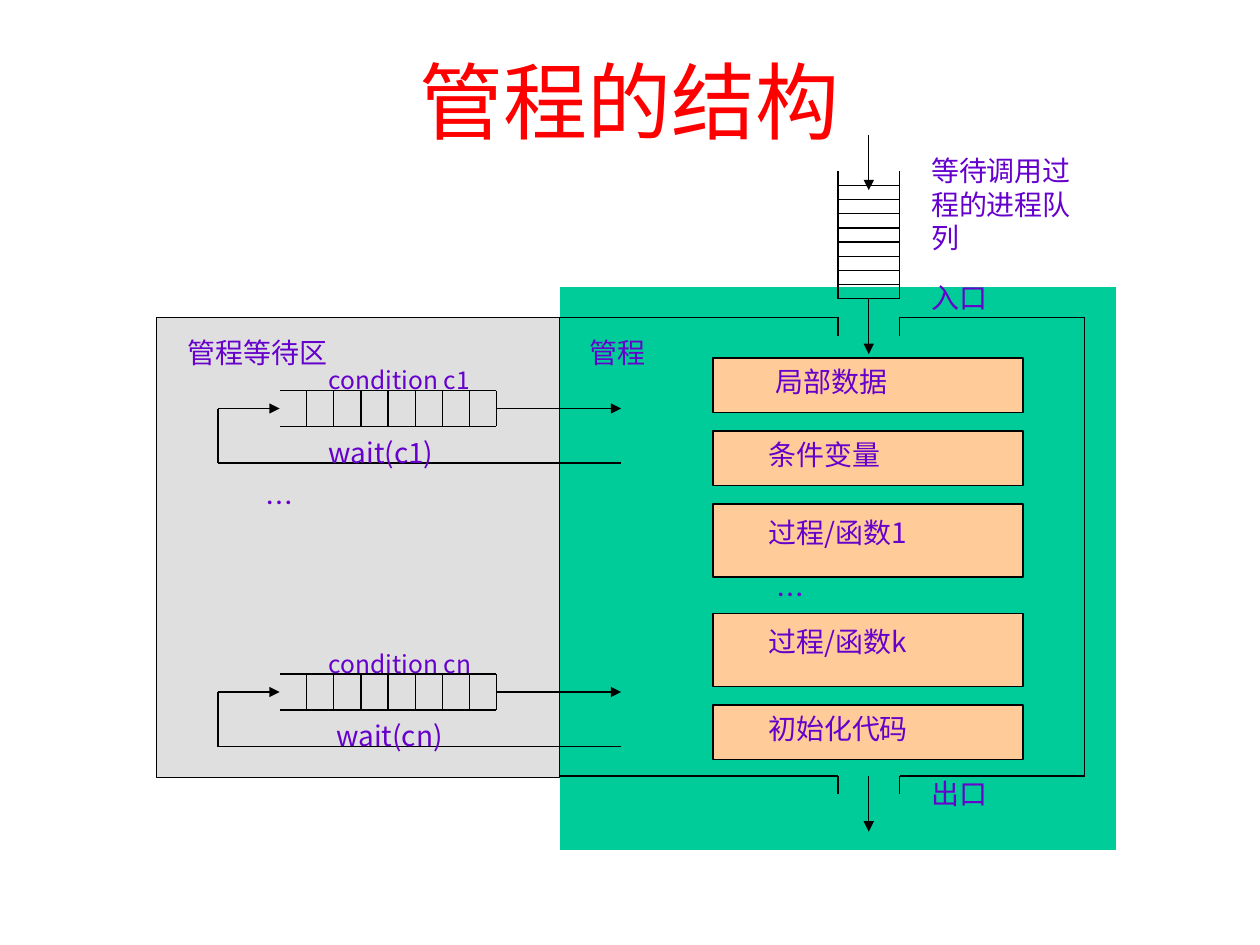
from lxml import etree
from pptx import Presentation
from pptx import util as u
from pptx.dml.color import RGBColor
from pptx.enum import shapes, text
from pptx.oxml.ns import qn

FONT = "Noto Sans CJK JP"
BLACK, WHITE, RED, PURPLE = "000000", "FFFFFF", "FF0000", "6600CC"
GREEN, GREY, ORANGE = "00CC99", "C0C0C0", "FFCC99"
JUSTIFY = text.PP_ALIGN.JUSTIFY


def rgb(value):
    return RGBColor.from_string(value)


def write(sp, words, size=16, color=PURPLE, align=text.PP_ALIGN.LEFT,
          anchor=text.MSO_ANCHOR.TOP, inset=(0, 0), indent=0):
    tf = sp.text_frame
    dx, dy = (u.Inches(v) for v in inset)
    frame = {"word_wrap": True, "vertical_anchor": anchor,
             "margin_left": dx, "margin_right": dx,
             "margin_top": dy, "margin_bottom": dy}
    for name, value in frame.items():
        setattr(tf, name, value)
    p = tf.paragraphs[0]
    p.alignment = align
    if indent:
        p._p.get_or_add_pPr().set("indent", str(u.Inches(indent)))
    r = p.add_run()
    r.text = words
    for name, value in {"size": u.Pt(size), "name": FONT}.items():
        setattr(r.font, name, value)
    r.font.color.rgb = rgb(color)
    etree.SubElement(r._r.get_or_add_rPr(), qn("a:ea"), typeface=FONT)


def label(parent, box, words, **fmt):
    write(parent.add_textbox(*map(u.Inches, box)), words, **fmt)


def rect(parent, box, fill, line=BLACK, alpha=None):
    sp = parent.add_shape(shapes.MSO_SHAPE.RECTANGLE, *map(u.Inches, box))
    sp.shadow.inherit = False
    sp.fill.solid()
    sp.fill.fore_color.rgb = rgb(fill)
    sp.line.color.rgb = rgb(line)
    sp.line.width = u.Pt(0.75)
    if alpha:
        clr = sp._element.spPr.find(qn("a:solidFill"))[0]
        etree.SubElement(clr, qn("a:alpha"), val=str(alpha * 1000))
    return sp


def line(parent, x1, y1, x2, y2, arrow=False):
    c = parent.add_connector(shapes.MSO_CONNECTOR.STRAIGHT,
                             *map(u.Inches, (x1, y1, x2, y2)))
    c.line.color.rgb = rgb(BLACK)
    c.line.width = u.Pt(0.75)
    if arrow:
        etree.SubElement(c.line._get_or_add_ln(), qn("a:tailEnd"), type="triangle")
    etree.SubElement(c._element.spPr, qn("a:effectLst"))


def condition_queue(s, x, y, name, indent=0):
    """Condition queue with its wait loop; x, y is the top left of the cells."""
    g = s.shapes.add_group_shape().shapes
    width, height, cell = 1.72, 0.285, 0.215
    right, mid, bottom = x + width, y + height / 2, y + 0.575
    loop, out = x - 0.49, x + 2.71
    for edge in (y, y + height):
        line(g, x, edge, right, edge)
    for i in range(8):
        line(g, right - i * cell, y, right - i * cell, y + height)
    # Wait loop and wake-up arrow
    line(g, out, bottom, loop, bottom)
    line(g, loop, bottom, loop, mid)
    line(g, loop, mid, x, mid, arrow=True)
    line(g, right, mid, out, mid, arrow=True)
    label(g, (x + 0.39, y - 0.2, 1.25, 0.18), f"condition {name}", size=14, align=JUSTIFY)
    label(g, (x + 0.39, y + 0.355, 1.25, 0.18), f"wait({name})", align=JUSTIFY, indent=indent)


def waiting_area(s, x, y, w, h):
    rect(s.shapes, (x, y, w, h), GREY, alpha=50)
    label(s.shapes, (x + 0.25, y + 0.14, 1.61, 0.29), "管程等待区")
    condition_queue(s, x + 0.98, y + 0.58, "c1")
    label(s.shapes, (x + 0.87, y + 1.33, 1.23, 0.72), "…", align=JUSTIFY)
    condition_queue(s, x + 0.98, y + 2.83, "cn", indent=0.06)


def entry_queue(s, x, y, w, h):
    g = s.shapes.add_group_shape().shapes
    bottom, mid = y + h, x + w / 2
    for side in (x, x + w):
        line(g, side, y, side, bottom)
    for i in range(9):
        level = bottom - i * h / 9
        line(g, x, level, x + w, level)
    # Arrows into and out of the queue
    for start in (y - 0.29, bottom):
        line(s.shapes, mid, start, mid, start + 0.44, arrow=True)
    label(s.shapes, (x + 0.74, y - 0.14, 1.12, 0.72), "等待调用过程的进程队列")


def monitor_frame(s, x, y, w, h, gate_left, gate_right):
    """Outline of the monitor with a gate in its top and bottom edges."""
    right = x + w
    for edge in (y, y + h):
        line(s.shapes, x, edge, gate_left, edge)
        line(s.shapes, gate_right, edge, right, edge)
        for gate in (gate_left, gate_right):
            line(s.shapes, gate, edge, gate, edge + 0.145)
    line(s.shapes, right, y, right, y + h)
    mid = (gate_left + gate_right) / 2
    line(s.shapes, mid, y + h, mid, y + h + 0.44, arrow=True)
    label(s.shapes, (x + 0.24, y + 0.14, 1.25, 0.29), "管程")
    label(s.shapes, (gate_right + 0.25, y - 0.29, 0.87, 0.29), "入口")
    label(s.shapes, (gate_right + 0.25, y + h, 0.98, 0.29), "出口")


def monitor_parts(s, x, y, w):
    gap = 0.145
    # Words, height, first-line indent, vertical inset, space below
    parts = [("局部数据", 0.435, 0.4, 0.05, gap),
             ("条件变量", 0.435, 0.34, 0.05, gap),
             ("过程/函数1", 0.58, 0.34, 0.09, 2 * gap),
             ("过程/函数k", 0.58, 0.34, 0.09, gap),
             ("初始化代码", 0.435, 0.34, 0.05, 0)]
    for words, h, indent, dy, below in parts:
        write(rect(s.shapes, (x, y, w, h), ORANGE), words, inset=(0.1, dy), indent=indent)
        y += h
        if below > gap:
            label(s.shapes, (x + 0.5, y, 1.47, 0.29), "…")
        y += below


def main():
    prs = Presentation()
    prs.slide_width, prs.slide_height = u.Inches(10), u.Inches(7.5)
    s = prs.slides.add_slide(prs.slide_layouts[6])
    label(s.shapes, (0.5, 0.17, 9, 1.25), "管程的结构", size=48, color=RED,
          align=text.PP_ALIGN.CENTER, anchor=text.MSO_ANCHOR.MIDDLE, inset=(0.1, 0.05))
    rect(s.shapes, (4.44, 2.27, 4.42, 4.48), GREEN, line=WHITE)
    waiting_area(s, 1.24, 2.52, 3.2, 3.65)
    monitor_parts(s, 5.66, 2.84, 2.46)
    entry_queue(s, 6.65, 1.36, 0.49, 1.01)
    monitor_frame(s, 4.44, 2.52, 4.17, 3.64, 6.65, 7.14)
    prs.save("out.pptx")


if __name__ == "__main__":
    main()
